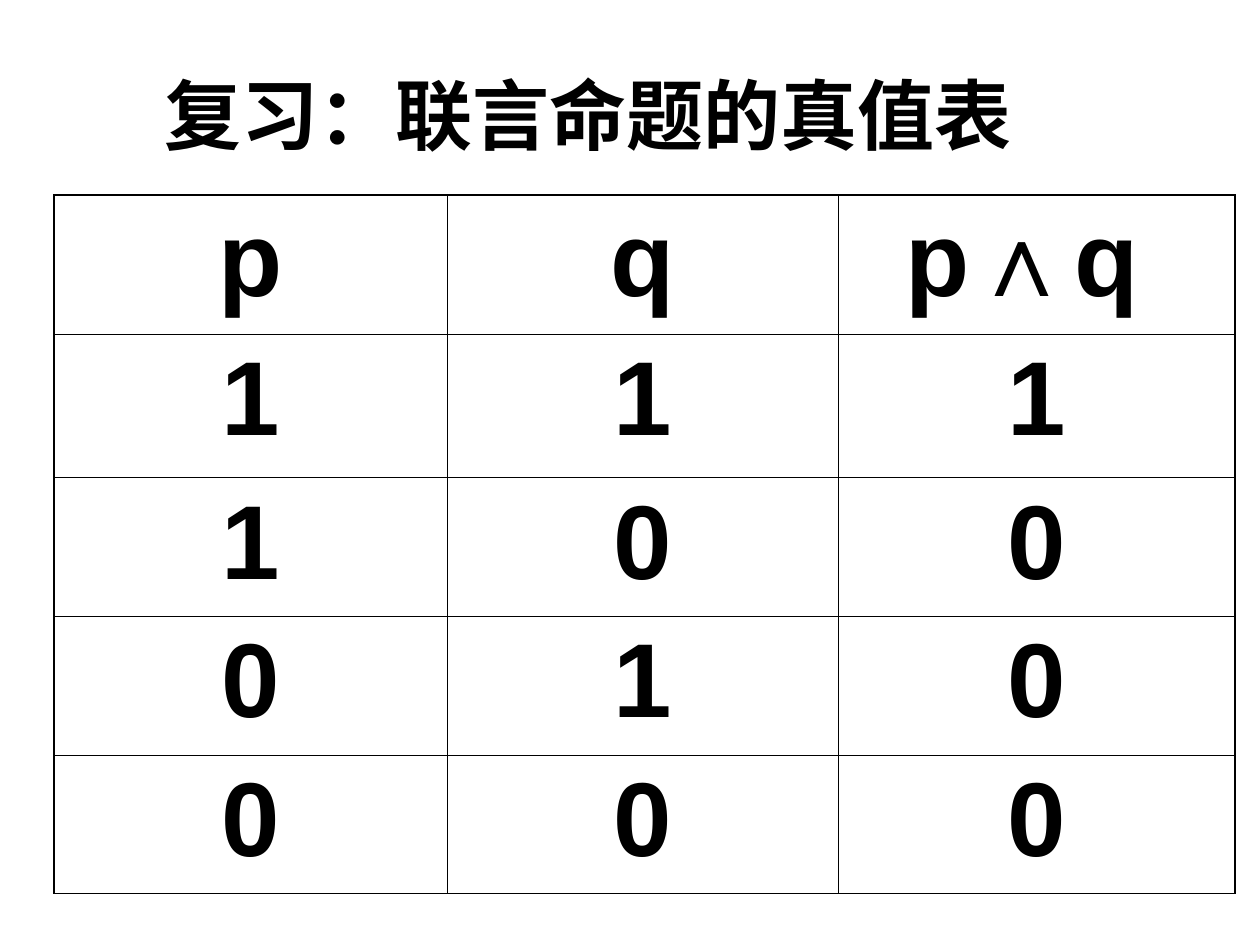
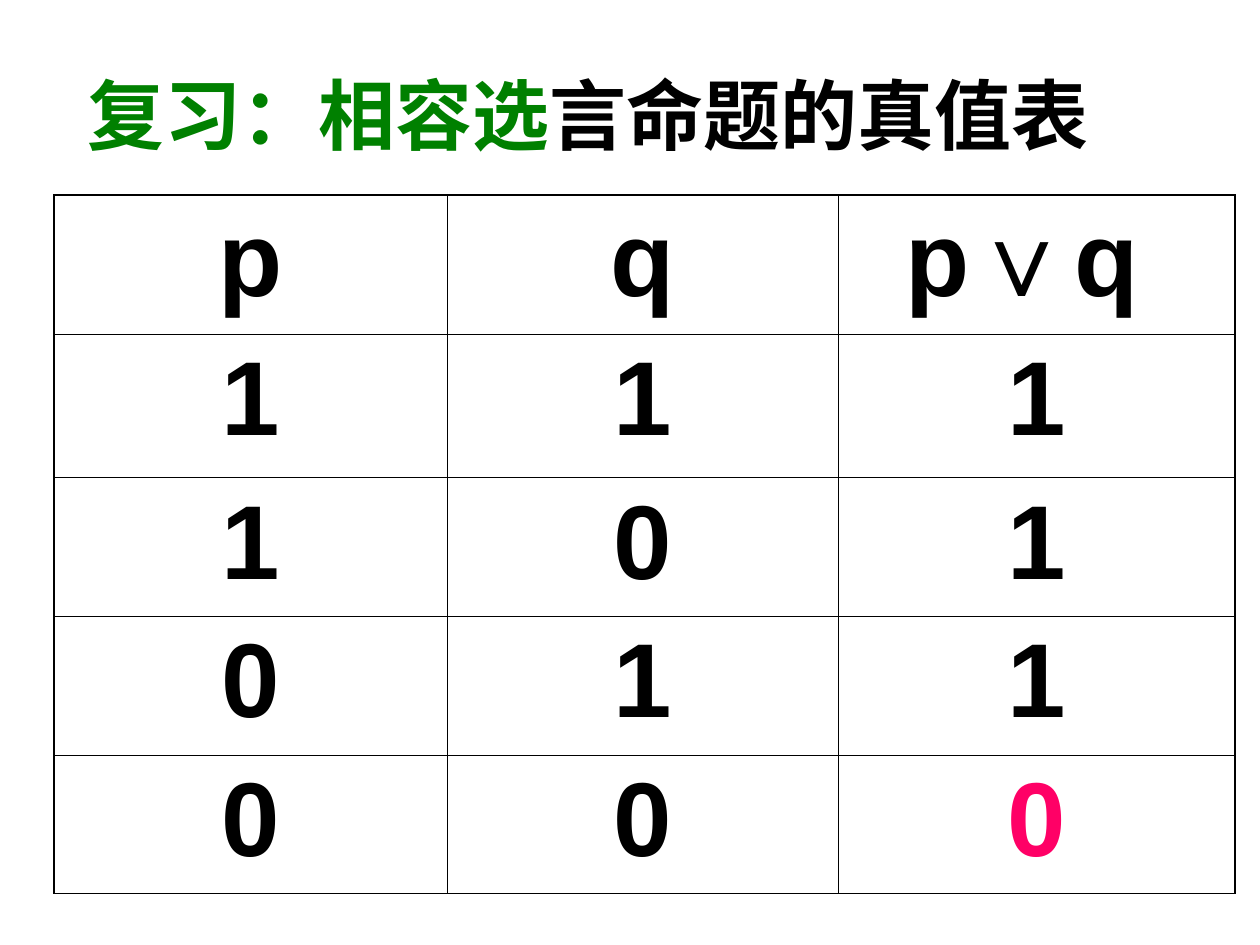
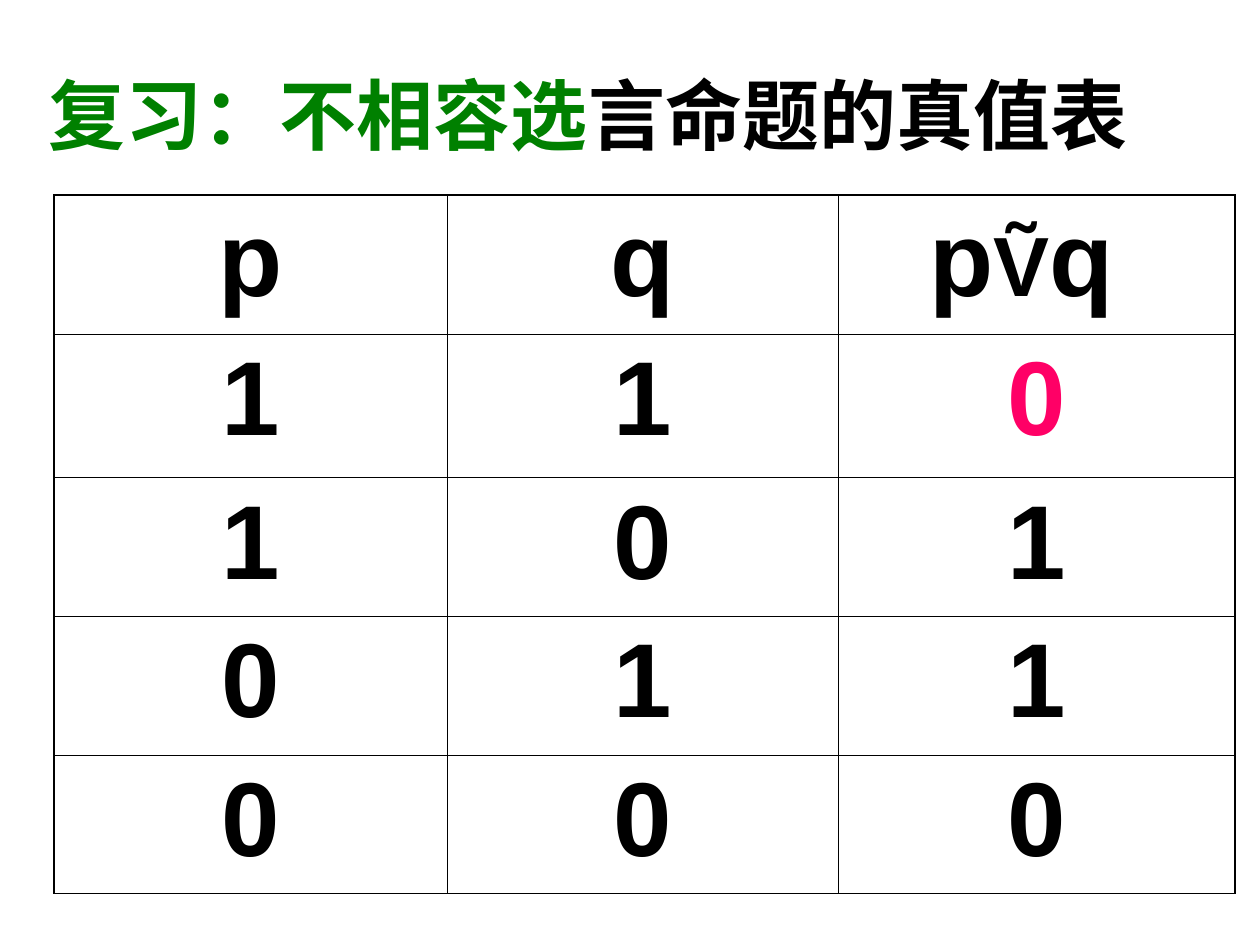
from pptx import Presentation
from pptx.dml.color import RGBColor
from pptx.enum.text import MSO_ANCHOR, PP_ALIGN
from pptx.oxml.ns import qn
from pptx.util import Inches, Pt
from lxml import etree

CENTER = PP_ALIGN.CENTER
MIDDLE = MSO_ANCHOR.MIDDLE

BLACK = RGBColor(0x00, 0x00, 0x00)
GREEN = RGBColor(0x00, 0x80, 0x00)
PINK = RGBColor(0xFF, 0x00, 0x66)

FONT = "Arial"
TITLE_SIZE = 44
CELL_SIZE = 60
OUTER_LINE = 1.08
INNER_LINE = 0.45
COLUMN_WIDTHS = [3.12, 3.1, 3.15]
ROW_HEIGHTS = [1.1, 1.14, 1.1, 1.1, 1.1]

# Content: every piece of text is (text, colour, size)
INPUTS = [("1", "1"), ("1", "0"), ("0", "1"), ("0", "0")]
TITLE_END = ("言命题的真值表", BLACK, TITLE_SIZE)
TRUTH_TABLES = [
    {
        "title": [("复习：联言命题的真值表", BLACK, TITLE_SIZE)],
        "formula": [("p∧q ", BLACK, CELL_SIZE)],
        "results": "1000",
        "highlighted_result": None,
    },
    {
        "title": [("复习：相容选", GREEN, TITLE_SIZE), TITLE_END],
        "formula": [("p∨q ", BLACK, CELL_SIZE)],
        "results": "1110",
        "highlighted_result": 3,
    },
    {
        "title": [("复习：不相容选", GREEN, TITLE_SIZE), TITLE_END],
        "formula": [("p", BLACK, CELL_SIZE), ("Ṽ", BLACK, 48), ("q ", BLACK, CELL_SIZE)],
        "results": "0110",
        "highlighted_result": 0,
    },
]


def write_runs(paragraph, pieces):
    paragraph.alignment = CENTER
    for text, color, size in pieces:
        run = paragraph.add_run()
        run.text = text
        run.font.name = FONT
        run.font.size = Pt(size)
        run.font.bold = True
        run.font.color.rgb = color


def add_title(slide, pieces):
    title = slide.shapes.add_textbox(Inches(0), Inches(0.28), Inches(9.34), Inches(1.25))
    title.text_frame.word_wrap = True
    title.text_frame.vertical_anchor = MIDDLE
    write_runs(title.text_frame.paragraphs[0], pieces)


def set_borders(cell, row, column):
    """Draw thick lines on the table's outline and thin lines inside."""
    on_outline = {
        "a:lnL": column == 0,
        "a:lnR": column == len(COLUMN_WIDTHS) - 1,
        "a:lnT": row == 0,
        "a:lnB": row == len(ROW_HEIGHTS) - 1,
    }
    properties = cell._tc.get_or_add_tcPr()
    for tag, is_outer in on_outline.items():
        width = Pt(OUTER_LINE if is_outer else INNER_LINE)
        line = etree.SubElement(properties, qn(tag), w=str(width))
        fill = etree.SubElement(line, qn("a:solidFill"))
        etree.SubElement(fill, qn("a:srgbClr"), val=str(BLACK))


def table_rows(content):
    rows = [[[("p", BLACK, CELL_SIZE)], [("q", BLACK, CELL_SIZE)], content["formula"]]]
    for index, (inputs, result) in enumerate(zip(INPUTS, content["results"])):
        color = PINK if index == content["highlighted_result"] else BLACK
        row = [[(value, BLACK, CELL_SIZE)] for value in inputs]
        rows.append(row + [[(result, color, CELL_SIZE)]])
    return rows


def add_truth_table(slide, content):
    frame = slide.shapes.add_table(
        len(ROW_HEIGHTS), len(COLUMN_WIDTHS), Inches(0.43), Inches(1.55),
        Inches(sum(COLUMN_WIDTHS)), Inches(sum(ROW_HEIGHTS)))
    table = frame.table
    table.first_row = False
    table.horz_banding = False
    for column, width in zip(table.columns, COLUMN_WIDTHS):
        column.width = Inches(width)
    for row, height in zip(table.rows, ROW_HEIGHTS):
        row.height = Inches(height)

    for row_index, row in enumerate(table_rows(content)):
        for column_index, pieces in enumerate(row):
            cell = table.cell(row_index, column_index)
            set_borders(cell, row_index, column_index)
            cell.fill.background()
            paragraph = cell.text_frame.paragraphs[0]
            # The space above lowers each value inside its cell
            paragraph.space_before = Pt(15)
            write_runs(paragraph, pieces)


def main():
    presentation = Presentation()
    presentation.slide_width = Inches(10)
    presentation.slide_height = Inches(7.5)
    blank_layout = presentation.slide_layouts[6]
    for content in TRUTH_TABLES:
        slide = presentation.slides.add_slide(blank_layout)
        add_title(slide, content["title"])
        add_truth_table(slide, content)
    presentation.save("out.pptx")


if __name__ == "__main__":
    main()
